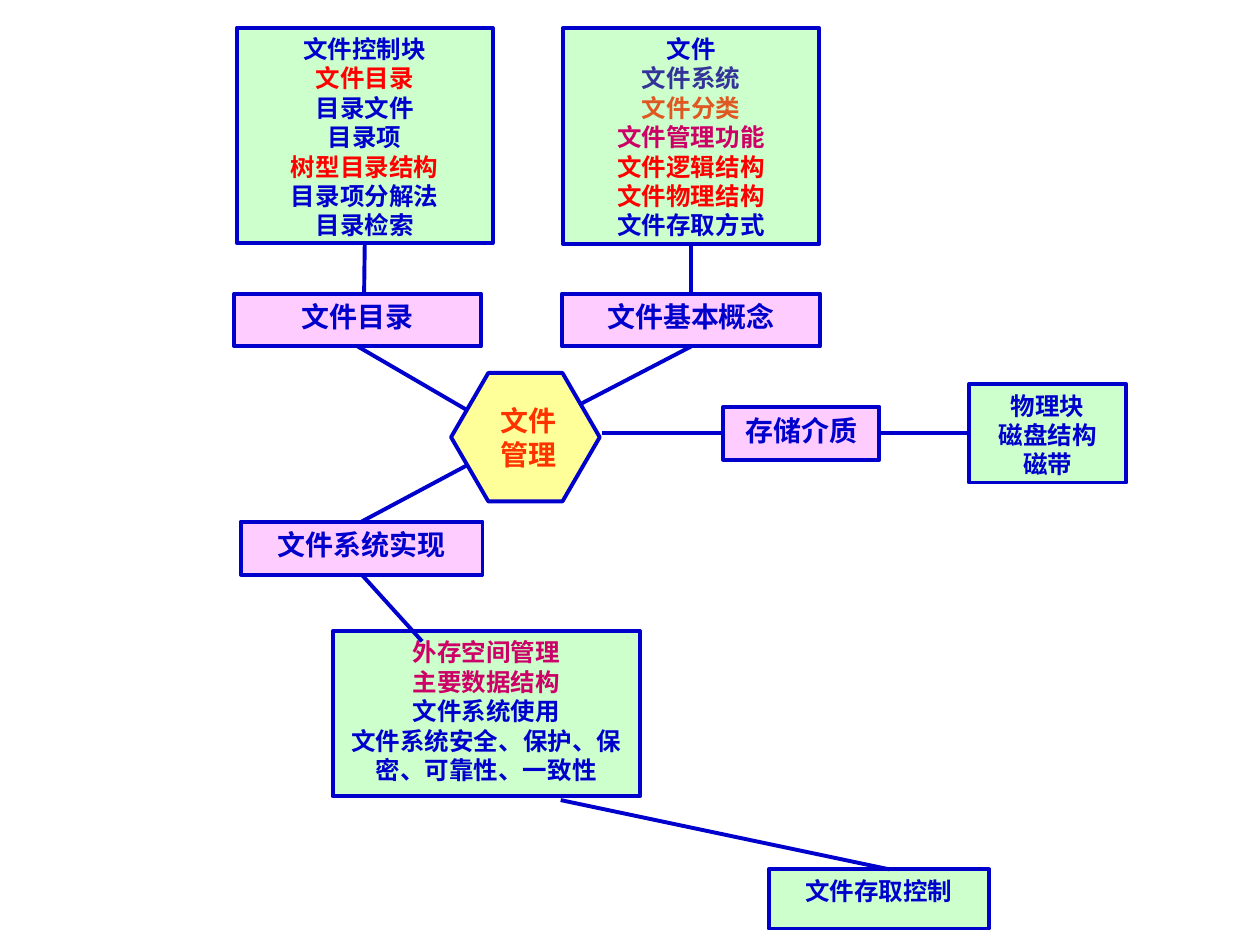
import pptx
import pptx.util
import pptx.dml.color
import pptx.enum.shapes
import pptx.enum.text
import pptx.oxml.ns
from dataclasses import dataclass
from lxml import etree

Inches = pptx.util.Inches
Shape = pptx.enum.shapes.MSO_SHAPE
Anchor = pptx.enum.text.MSO_ANCHOR
TOP, LEFT, BOTTOM, RIGHT = range(4)


@dataclass(frozen=True)
class Theme:
    font: str = "Times New Roman"
    blue: str = "0000CC"
    indigo: str = "333399"
    orange: str = "DF5721"
    magenta: str = "CC0066"
    red: str = "FF0000"
    core: str = "FF3300"
    detail_fill: str = "CCFFCC"
    topic_fill: str = "FFCCFF"
    core_fill: str = "FFFF99"
    detail_size: int = 14
    topic_size: int = 16
    line_width: float = 2.25


def rgb(value):
    return pptx.dml.color.RGBColor.from_string(value)


def add_text(p, text, *, font, size, color, bold=True):
    """Add one formatted run to a centred paragraph."""
    p.alignment = pptx.enum.text.PP_ALIGN.CENTER
    r = p.add_run()
    r.text = text
    r.font.name = font
    r.font.size = pptx.util.Pt(size)
    r.font.bold = bold
    r.font.color.rgb = rgb(color)


class MindMap:
    def __init__(self, slide, theme):
        self.slide, self.theme = slide, theme

    def outline(self, line):
        line.color.rgb = rgb(self.theme.blue)
        line.width = pptx.util.Pt(self.theme.line_width)

    def node(self, kind, at, lines, fill, size, anchor=Anchor.TOP):
        """Draw a filled shape; each line is a string or a (string, colour) pair."""
        sp = self.slide.shapes.add_shape(kind, *map(Inches, at))
        sp.shadow.inherit = False
        sp.fill.solid()
        sp.fill.fore_color.rgb = rgb(fill)
        self.outline(sp.line)
        tf = sp.text_frame
        tf.word_wrap = True
        tf.vertical_anchor = anchor
        for i, line in enumerate(lines):
            text, color = (line, self.theme.blue) if isinstance(line, str) else line
            p = tf.add_paragraph() if i else tf.paragraphs[0]
            add_text(p, text, font=self.theme.font, size=size, color=color)
        return sp

    def detail(self, at, *lines):
        return self.node(Shape.RECTANGLE, at, lines,
                         self.theme.detail_fill, self.theme.detail_size)

    def topic(self, at, text):
        return self.node(Shape.RECTANGLE, at, [text],
                         self.theme.topic_fill, self.theme.topic_size)

    def core(self, at, *lines):
        sp = self.node(Shape.HEXAGON, at, [(t, self.theme.core) for t in lines],
                       self.theme.core_fill, self.theme.topic_size, Anchor.MIDDLE)
        sp.adjustments[0] = 0.29
        sp.text_frame.margin_right = Inches(0.05)
        return sp

    def link(self, start, end):
        """Join two ends, each an (x, y) point or a (shape, side) pair."""
        cn = self.slide.shapes.add_connector(
            pptx.enum.shapes.MSO_CONNECTOR.STRAIGHT, 0, 0, 0, 0)
        if isinstance(start[0], float):
            cn.begin_x, cn.begin_y = map(Inches, start)
        else:
            cn.begin_connect(*start)
        if isinstance(end[0], float):
            cn.end_x, cn.end_y = map(Inches, end)
        else:
            cn.end_connect(*end)
        self.outline(cn.line)
        sp_pr = cn._element.spPr
        etree.SubElement(sp_pr, pptx.oxml.ns.qn("a:effectLst"))


def main():
    prs = pptx.Presentation()
    prs.slide_width, prs.slide_height = Inches(10), Inches(7.5)
    t = Theme()
    s = MindMap(prs.slides.add_slide(prs.slide_layouts[6]), t)

    # Detail boxes
    directory_list = s.detail(
        (1.88, 0.22, 2.03, 1.71),
        "文件控制块", ("文件目录", t.red), "目录文件", "目录项",
        ("树型目录结构", t.red), "目录项分解法", "目录检索")
    concept_list = s.detail(
        (4.47, 0.22, 2.03, 1.72),
        "文件", ("文件系统", t.indigo), ("文件分类", t.orange),
        ("文件管理功能", t.magenta), ("文件逻辑结构", t.red),
        ("文件物理结构", t.red), "文件存取方式")
    s.detail(
        (2.64, 5.01, 2.44, 1.31),
        ("外存空间管理", t.magenta), ("主要数据结构", t.magenta),
        "文件系统使用", "文件系统安全、保护、保密、可靠性、一致性")
    media_list = s.detail((7.69, 3.05, 1.25, 0.78), "物理块", "磁盘结构", "磁带")
    s.detail((6.1, 6.9, 1.75, 0.47), "文件存取控制")

    # Topic boxes
    directory = s.topic((1.86, 2.33, 1.96, 0.42), "文件目录")
    concept = s.topic((4.46, 2.33, 2.05, 0.42), "文件基本概念")
    system = s.topic((1.91, 4.14, 1.92, 0.42), "文件系统实现")
    media = s.topic((5.74, 3.23, 1.24, 0.42), "存储介质")

    # Links from the topics to the centre
    s.link((directory, BOTTOM), (3.75, 3.28))
    s.link((concept, BOTTOM), (4.62, 3.2))
    s.link((system, TOP), (3.75, 3.67))
    s.link((4.78, 3.44), (media, LEFT))

    # Links from the topics to their details
    s.link((directory_list, BOTTOM), (2.89, 2.33))
    s.link((concept_list, BOTTOM), (concept, TOP))
    s.link((system, BOTTOM), (3.35, 5.09))
    s.link((media, RIGHT), (media_list, LEFT))
    s.link((4.45, 6.35), (7.06, 6.9))

    # Centre of the map
    s.core((3.58, 2.96, 1.18, 1.02), "文件", "管理")

    prs.save("out.pptx")


if __name__ == "__main__":
    main()
